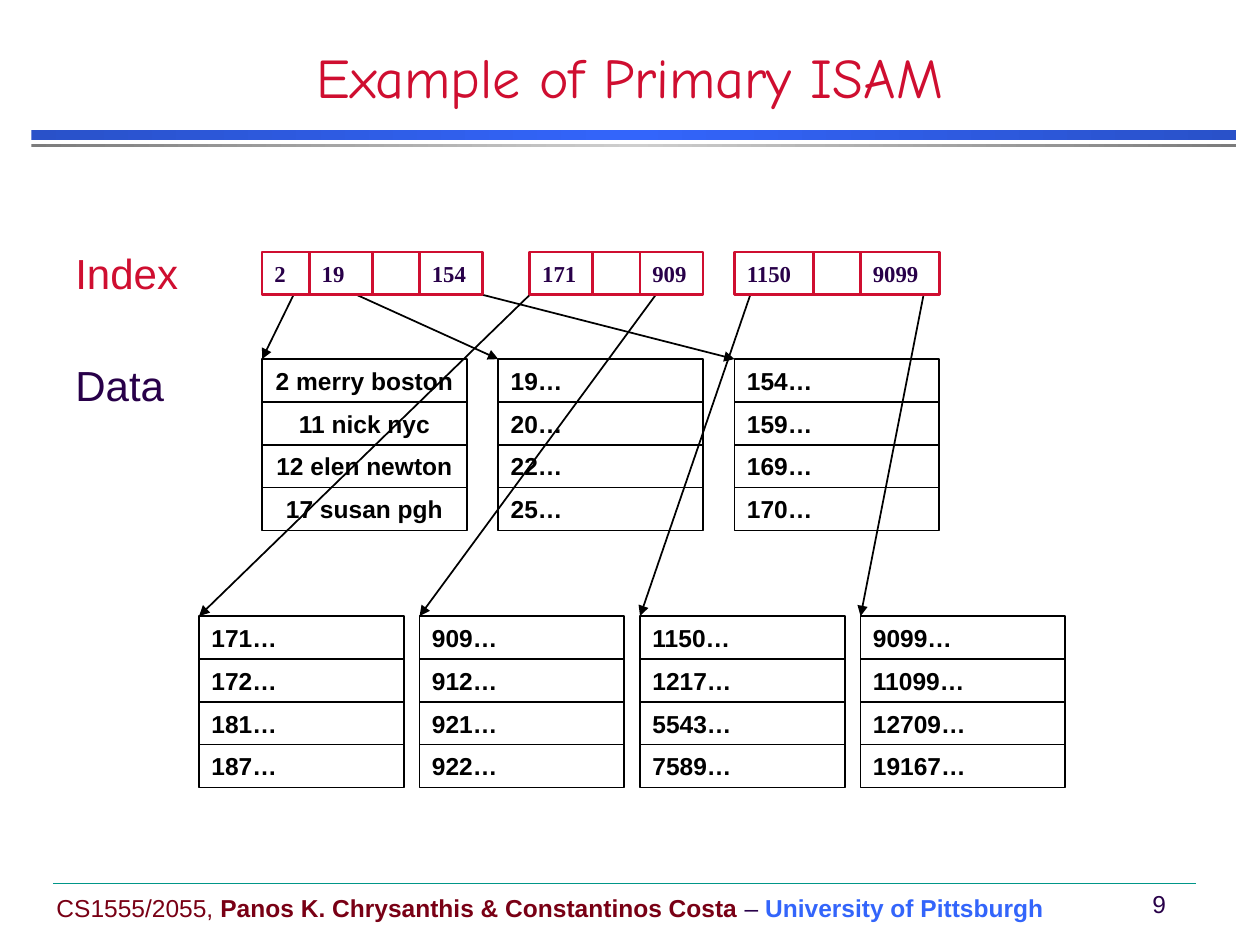
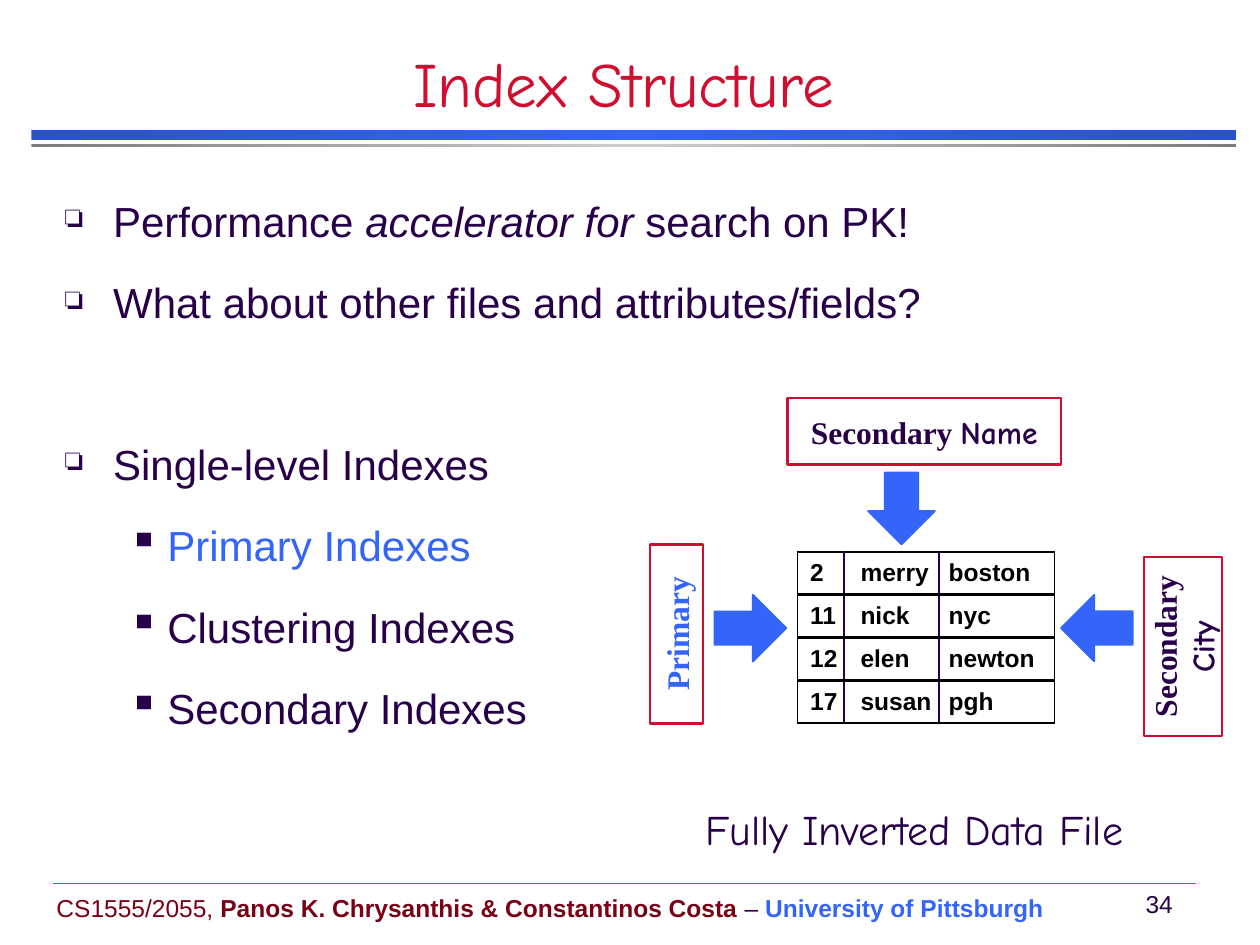
from dataclasses import dataclass
from typing import Any, NamedTuple

import pptx
import pptx.dml.color
import pptx.enum.shapes
import pptx.enum.text
import pptx.oxml
import pptx.oxml.ns
import pptx.util

HUES = {
    "red": "CF0E30", "ink": "280049", "blue": "3365FB", "navy": "2951C9",
    "wine": "790015", "teal": "009688", "black": "000000",
    "gray": "7C7C7C", "silver": "CECECE",
}
SANS, HAND, SERIF = "Arial", "Comic Neue", "Times New Roman"
WIDE, HIGH = 10, 7.5

# Grid of the file diagram: origin, column and row in inches
LEFT, TOP, COL, ROW = 2.08, 2, 0.125, 0.34
BLOCK = 13  # columns in a data block

ALIGN = pptx.enum.text.PP_ALIGN
ANCHOR = pptx.enum.text.MSO_ANCHOR
SHAPE = pptx.enum.shapes.MSO_SHAPE
A_NS = 'xmlns:a="http://schemas.openxmlformats.org/drawingml/2006/main"'


class Box(NamedTuple):
    x: float
    y: float
    w: float
    h: float


class Bit(NamedTuple):
    text: str
    hue: str = "ink"
    font: str = SANS
    bold: bool = False
    slant: bool = False


@dataclass(frozen=True)
class Block:
    col: int
    row: float
    start: int  # column where its arrow leaves the index
    lines: tuple[str, ...]
    align: Any = ALIGN.LEFT


@dataclass(frozen=True)
class Key:
    col: int
    cols: int
    text: str = ""


@dataclass(frozen=True)
class Frame:
    box: Box
    lines: tuple[tuple[Bit, ...], ...]
    turn: int = 0


@dataclass(frozen=True)
class Point:
    bits: tuple[Bit, ...]
    level: int = 0
    before: float = 5.5


BLOCKS = (
    Block(0, 2.5, 2, ("2 merry boston", "11 nick nyc", "12 elen newton", "17 susan pgh"),
          ALIGN.CENTER),
    Block(15, 2.5, 6, ("19…", "20…", "22…", "25…")),
    Block(30, 2.5, 14, ("154…", "159…", "169…", "170…")),
    Block(-4, 8.5, 17, ("171…", "172…", "181…", "187…")),
    Block(10, 8.5, 25, ("909…", "912…", "921…", "922…")),
    Block(24, 8.5, 31, ("1150…", "1217…", "5543…", "7589…")),
    Block(38, 8.5, 42, ("9099…", "11099…", "12709…", "19167…")),
)
KEYS = (
    Key(0, 3, "2"), Key(3, 4, "19"), Key(7, 3), Key(10, 4, "154"),
    Key(17, 4, "171"), Key(21, 3), Key(24, 4, "909"),
    Key(30, 5, "1150"), Key(35, 3), Key(38, 5, "9099"),
)
POINTS = (
    Point((Bit("Performance "), Bit("accelerator for ", slant=True), Bit("search on PK!"))),
    Point((Bit("What about other files and attributes/fields?"),)),
    Point((Bit("Single-level Indexes"),), before=51.2),
    Point((Bit("Primary Indexes", "blue"),), 1),
    Point((Bit("Clustering Indexes"),), 1),
    Point((Bit("Secondary Indexes"),), 1),
)
FRAMES = (
    Frame(Box(4.66, 4.82, 1.42, 0.42), ((Bit("Primary", "blue", SERIF, True),),), 270),
    Frame(Box(6.25, 3.16, 2.17, 0.53),
          ((Bit("Secondary ", font=SERIF, bold=True), Bit("Name", font=HAND, bold=True)),)),
    Frame(Box(8.68, 4.82, 1.42, 0.62),
          ((Bit("Secondary", font=SERIF, bold=True),), (Bit("City", font=HAND, bold=True),)), 270),
)
ARROWS = ((6.89, 3.75, 0), (5.69, 4.7, 270), (8.44, 4.7, 90))
ROWS = (("2", "merry", "boston"), ("11", "nick", "nyc"),
        ("12", "elen", "newton"), ("17", "susan", "pgh"))


def tint(name: str) -> Any:
    return pptx.dml.color.RGBColor.from_string(HUES[name])


def span(box: Box) -> list[Any]:
    return [pptx.util.Inches(n) for n in box]


def write(para: Any, bits: tuple[Bit, ...], size: float, align: Any = ALIGN.LEFT) -> None:
    para.alignment = align
    para.text = bits[0].text
    for bit in bits[1:]:
        para.add_run().text = bit.text
    for run, bit in zip(para.runs, bits):
        run.font.name, run.font.size = bit.font, pptx.util.Pt(size)
        run.font.bold, run.font.italic = bit.bold, bit.slant
        run.font.color.rgb = tint(bit.hue)


def draw(slide: Any, box: Box, hue: str = "", weight: float = 1, fill: str = "",
         kind: Any = SHAPE.RECTANGLE, turn: int = 0) -> Any:
    shape = slide.shapes.add_shape(kind, *span(box))
    shape.shadow.inherit = False
    shape.rotation = turn
    if fill:
        shape.fill.solid()
        shape.fill.fore_color.rgb = tint(fill)
    else:
        shape.fill.background()
    if hue:
        shape.line.color.rgb = tint(hue)
        shape.line.width = pptx.util.Pt(weight)
    else:
        shape.line.fill.background()
    shape.text_frame.vertical_anchor = ANCHOR.MIDDLE
    return shape


def note(slide: Any, box: Box, bits: tuple[Bit, ...], size: float,
         align: Any = ALIGN.LEFT, wrap: bool = True) -> Any:
    frame = slide.shapes.add_textbox(*span(box)).text_frame
    frame.word_wrap = wrap
    write(frame.paragraphs[0], bits, size, align)
    return frame


def link(slide: Any, x1: float, y1: float, x2: float, y2: float, hue: str,
         weight: float, head: bool = False) -> None:
    line = slide.shapes.add_connector(pptx.enum.shapes.MSO_CONNECTOR.STRAIGHT,
                                      *span(Box(x1, y1, x2, y2)))
    line.line.color.rgb = tint(hue)
    line.line.width = pptx.util.Pt(weight)
    if head:
        line.line._get_or_add_ln().append(
            pptx.oxml.parse_xml(f'<a:tailEnd {A_NS} type="triangle"/>'))
    line._element.spPr.append(pptx.oxml.parse_xml(f"<a:effectLst {A_NS}/>"))


def band(slide: Any, box: Box, edge: str, core: str) -> None:
    props = draw(slide, box)._element.spPr
    stops = "".join(
        f'<a:gs pos="{spot}"><a:srgbClr val="{HUES[name]}"/></a:gs>'
        for spot, name in ((0, edge), (50000, core), (100000, edge)))
    blend = pptx.oxml.parse_xml(
        f'<a:gradFill {A_NS}><a:gsLst>{stops}</a:gsLst><a:lin ang="0"/></a:gradFill>')
    props.replace(props.find(pptx.oxml.ns.qn("a:noFill")), blend)


def start(deck: Any, title: str, box: Box, size: int, page: int) -> Any:
    """Add a slide with the shared bands, footer and title style."""
    slide = deck.slides.add_slide(deck.slide_layouts[5])
    band(slide, Box(0.25, 1.03, 9.56, 0.08), "navy", "blue")
    band(slide, Box(0.25, 1.14, 9.56, 0.03), "gray", "silver")
    note(slide, Box(0.35, 7.04, 8.5, 0.33), (
        Bit("CS1555/2055, ", "wine"),
        Bit("Panos K. Chrysanthis & Constantinos Costa", "wine", bold=True),
        Bit(" – "), Bit("University of Pittsburgh", "blue", bold=True)), 14)
    note(slide, Box(8.95, 7.01, 0.5, 0.33), (Bit(str(page)),), 14, ALIGN.CENTER)
    link(slide, 0.42, 7.01, 9.49, 7.01, "teal", 0.25)

    head = slide.shapes.title
    head.left, head.top, head.width, head.height = span(box)
    frame = head.text_frame
    frame.vertical_anchor = ANCHOR.BOTTOM
    frame.auto_size = pptx.enum.text.MSO_AUTO_SIZE.NONE
    write(frame.paragraphs[0], (Bit(title, "red", HAND),), size, ALIGN.CENTER)
    return slide


def grid(col: float, row: float, cols: float) -> Box:
    return Box(LEFT + col * COL, TOP + row * ROW, cols * COL, ROW)


def build_file(deck: Any) -> None:
    slide = start(deck, "Example of Primary ISAM", Box(0.75, 0.17, 8.5, 0.75), 32, 9)
    # Data blocks
    for block in BLOCKS:
        for step, line in enumerate(block.lines):
            cell = draw(slide, grid(block.col, block.row + step, BLOCK), "black")
            write(cell.text_frame.paragraphs[0], (Bit(line, "black", bold=True),), 14, block.align)
    # Arrows from index to data
    for block in BLOCKS:
        tail, tip = grid(block.start, 1, 0), grid(block.col, block.row, 0)
        link(slide, tail.x, tail.y, tip.x, tip.y, "black", 1, True)
    # Index keys
    for key in KEYS:
        cell = draw(slide, grid(key.col, 0, key.cols), "red", 1.5)
        if key.text:
            write(cell.text_frame.paragraphs[0], (Bit(key.text, font=SERIF, bold=True),), 13)
    # Side labels
    for text, top, hue in (("Index", 1.96, "red"), ("Data", 2.85, "ink")):
        label = note(slide, Box(0.5, top, 1.1, 0.46), (Bit(text, hue),), 24)
        label.paragraphs[0].line_spacing = 0.9


def list_points(slide: Any) -> None:
    frame = slide.shapes.add_textbox(*span(Box(0.42, 1.58, 7, 5.08))).text_frame
    frame.word_wrap = True
    for rank, point in enumerate(POINTS):
        para = frame.add_paragraph() if rank else frame.paragraphs[0]
        write(para, point.bits, 24)
        para.level = point.level
        para.line_spacing = 0.8
        para.space_before = pptx.util.Pt(point.before)
        para.space_after = pptx.util.Pt(18)
        mark, indent, hang, scale = (("❏", 0.38, 0.38, 75), ("▪", 0.81, 0.31, 100))[point.level]
        props = para._p.get_or_add_pPr()
        props.set("marL", str(pptx.util.Inches(indent)))
        props.set("indent", str(-pptx.util.Inches(hang)))
        for part in (f'<a:buClr {A_NS}><a:srgbClr val="{HUES["ink"]}"/></a:buClr>',
                     f'<a:buSzPct {A_NS} val="{scale * 1000}"/>',
                     f'<a:buChar {A_NS} char="{mark}"/>'):
            props.append(pptx.oxml.parse_xml(part))


def edge(cell: Any, sides: dict[str, tuple[str, float]]) -> None:
    props = cell._tc.get_or_add_tcPr()
    for rank, (side, (hue, weight)) in enumerate(sides.items()):
        props.insert(rank, pptx.oxml.parse_xml(
            f'<a:ln{side} {A_NS} w="{pptx.util.Pt(weight)}"><a:solidFill>'
            f'<a:srgbClr val="{HUES[hue]}"/></a:solidFill></a:ln{side}>'))


def add_data(slide: Any) -> None:
    widths, pads = (0.37, 0.75, 0.92), (0.1, 0.13, 0.08)
    box = Box(6.33, 4.38, sum(widths), len(ROWS) * ROW)
    table = slide.shapes.add_table(len(ROWS), len(widths), *span(box)).table
    table.first_row = table.horz_banding = False
    for col, width in zip(table.columns, widths):
        col.width = pptx.util.Inches(width)
    rim, rule, wall = ("black", 1), ("black", 2), ("ink", 1.5)
    for r, row in enumerate(ROWS):
        table.rows[r].height = pptx.util.Inches(ROW)
        for c, text in enumerate(row):
            cell = table.cell(r, c)
            cell.fill.background()
            cell.vertical_anchor = ANCHOR.MIDDLE
            cell.margin_left = pptx.util.Inches(pads[c])
            cell.margin_right = 0
            cell.margin_top = cell.margin_bottom = pptx.util.Inches(0.03)
            write(cell.text_frame.paragraphs[0], (Bit(text, "black", bold=True),), 14)
            edge(cell, {"L": wall if c else rim, "R": wall if c < len(row) - 1 else rim,
                        "T": rule if r else rim, "B": rule if r < len(ROWS) - 1 else rim})


def build_index(deck: Any) -> None:
    slide = start(deck, "Index Structure", Box(0, 0.42, 9.9, 0.58), 36, 34)
    list_points(slide)
    add_data(slide)
    # Framed index names
    for item in FRAMES:
        frame = draw(slide, item.box, "red", 1.5, turn=item.turn).text_frame
        for rank, bits in enumerate(item.lines):
            para = frame.add_paragraph() if rank else frame.paragraphs[0]
            write(para, bits, 18, ALIGN.CENTER)
    # Arrows toward the data
    for x, y, turn in ARROWS:
        draw(slide, Box(x, y, 0.53, 0.57), "blue", 1, "blue", SHAPE.DOWN_ARROW, turn)
    note(slide, Box(5.5, 6.33, 3.97, 0.5), (Bit("Fully Inverted Data File", font=HAND),), 24)


def main() -> None:
    deck = pptx.Presentation()
    deck.slide_width, deck.slide_height = pptx.util.Inches(WIDE), pptx.util.Inches(HIGH)
    build_file(deck)
    build_index(deck)
    deck.save("out.pptx")


if __name__ == "__main__":
    main()
